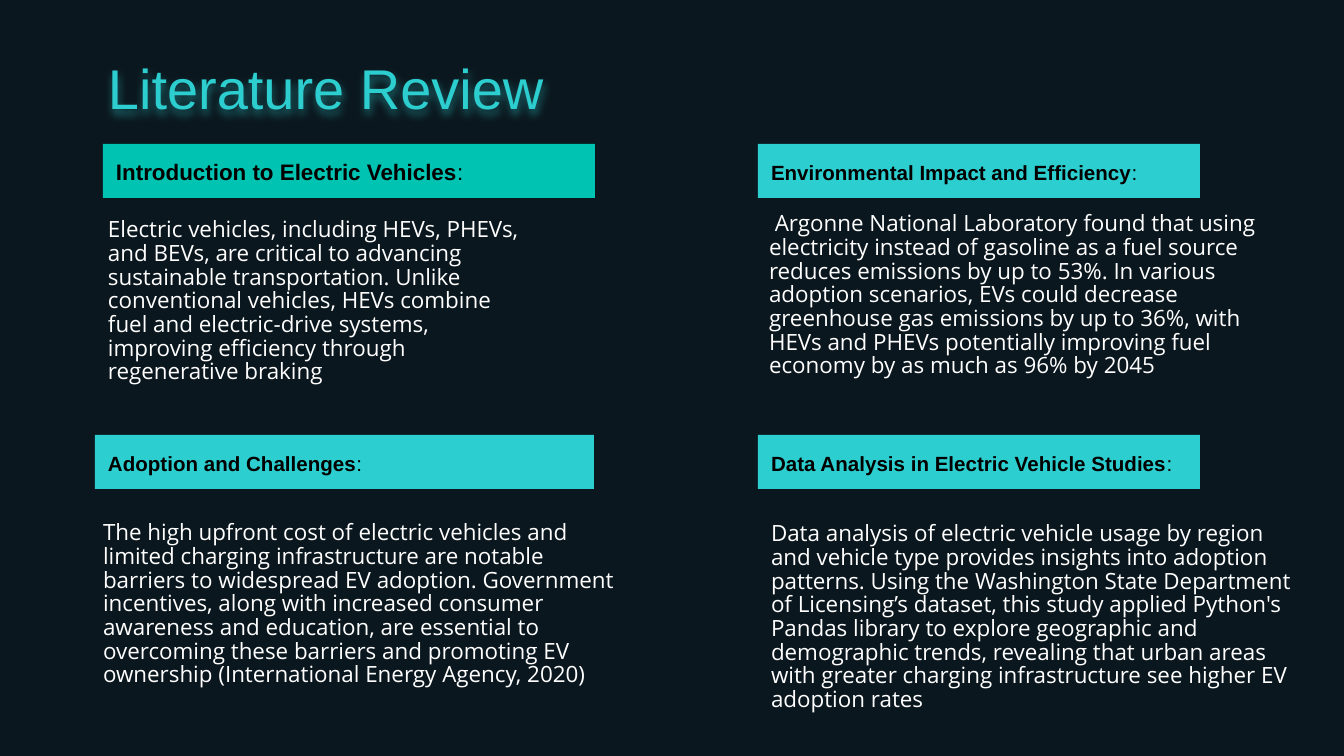
import pptx
import pptx.dml.color
import pptx.enum.shapes
import pptx.enum.text
import pptx.util
from lxml import etree

# Content: each heading is (left, top, width, fill, size, text)
TITLE = "Literature Review"
HEADINGS = [
    (103, 144, 492, "green", "lead", "Introduction to Electric Vehicles"),
    (758, 144, 442, "teal", "heading", "Environmental Impact and Efficiency"),
    (95, 435, 499, "teal", "heading", "Adoption and Challenges"),
    (758, 435, 442, "teal", "heading", "Data Analysis in Electric Vehicle Studies"),
]
# Each body is (left, top, width, height, text)
BODIES = [
    (95, 206, 449, 175,
     "Electric vehicles, including HEVs, PHEVs, and BEVs, are critical to "
     "advancing sustainable transportation. Unlike conventional vehicles, HEVs "
     "combine fuel and electric-drive systems, improving efficiency through "
     "regenerative braking"),
    (756, 200, 555, 228,
     " Argonne National Laboratory found that using electricity instead of "
     "gasoline as a fuel source reduces emissions by up to 53%. In various "
     "adoption scenarios, EVs could decrease greenhouse gas emissions by up to "
     "36%, with HEVs and PHEVs potentially improving fuel economy by as much as "
     "96% by 2045"),
    (90, 509, 542, 228,
     "The high upfront cost of electric vehicles and limited charging "
     "infrastructure are notable barriers to widespread EV adoption. Government "
     "incentives, along with increased consumer awareness and education, are "
     "essential to overcoming these barriers and promoting EV ownership "
     "(International Energy Agency, 2020)"),
    (758, 510, 551, 206,
     "Data analysis of electric vehicle usage by region and vehicle type "
     "provides insights into adoption patterns. Using the Washington State "
     "Department of Licensing’s dataset, this study applied Python's Pandas "
     "library to explore geographic and demographic trends, revealing that urban "
     "areas with greater charging infrastructure see higher EV adoption rates"),
]

THEME = {
    "colors": {"back": "0B171E", "teal": "2DCECF", "green": "00C3B1",
               "black": "000000", "white": "FFFFFF"},
    "sizes": {"title": 30, "lead": 12, "heading": 11, "body": 12},
    "fonts": {"head": "Arial", "body": "Open Sans"},
}
HEADING_HEIGHT = 54
INSET = 13
TITLE_TOP_INSET = 19
BODY_SPACING = 0.88
ANCHOR = pptx.enum.text.MSO_ANCHOR


def px(n):
    return pptx.util.Emu(round(n * 914400 / 134.4))


def color(name):
    return pptx.dml.color.RGBColor.from_string(THEME["colors"][name])


def place(sp, left, top, width, height):
    sp.left, sp.top, sp.width, sp.height = map(px, (left, top, width, height))


def prepare(sp, anchor, top_inset=INSET):
    tf = sp.text_frame
    tf.word_wrap = True
    tf.auto_size = pptx.enum.text.MSO_AUTO_SIZE.NONE
    tf.vertical_anchor = anchor
    tf.margin_left = tf.margin_right = tf.margin_bottom = px(INSET)
    tf.margin_top = px(top_inset)
    return tf.paragraphs[0]


def style(p, size, font, color_name):
    p.alignment = pptx.enum.text.PP_ALIGN.LEFT
    p.font.size = pptx.util.Pt(THEME["sizes"][size])
    p.font.name = THEME["fonts"][font]
    p.font.color.rgb = color(color_name)


def add_glow_shadow(sp):
    ns = "http://schemas.openxmlformats.org/drawingml/2006/main"
    sp._element.spPr.append(etree.fromstring(
        f'<a:effectLst xmlns:a="{ns}">'
        '<a:outerShdw blurRad="57150" dist="19050" dir="5400000" algn="bl" rotWithShape="0">'
        f'<a:srgbClr val="{THEME["colors"]["teal"]}"><a:alpha val="50000"/></a:srgbClr>'
        '</a:outerShdw></a:effectLst>'))


prs = pptx.Presentation()
prs.slide_width, prs.slide_height = px(1344), px(756)
slide = prs.slides.add_slide(prs.slide_layouts[5])
slide.background.fill.solid()
slide.background.fill.fore_color.rgb = color("back")

# Title
title = slide.shapes.title
place(title, 95, 35, 1133, 85)
p = prepare(title, ANCHOR.TOP, TITLE_TOP_INSET)
p.text = TITLE
style(p, "title", "head", "teal")
add_glow_shadow(title)

# Body texts
for *box, text in BODIES:
    sp = slide.shapes.add_textbox(*map(px, box))
    p = prepare(sp, ANCHOR.TOP)
    p.text = text
    p.line_spacing = BODY_SPACING
    style(p, "body", "body", "white")

# Heading bars
for left, top, width, fill, size, text in HEADINGS:
    sp = slide.shapes.add_shape(pptx.enum.shapes.MSO_SHAPE.RECTANGLE,
                                *map(px, (left, top, width, HEADING_HEIGHT)))
    sp.shadow.inherit = False
    sp.fill.solid()
    sp.fill.fore_color.rgb = color(fill)
    sp.line.fill.background()
    p = prepare(sp, ANCHOR.BOTTOM)
    for part, bold in ((text, True), (":", False)):
        r = p.add_run()
        r.text = part
        r.font.bold = bold
    style(p, size, "head", "black")

prs.save("out.pptx")
